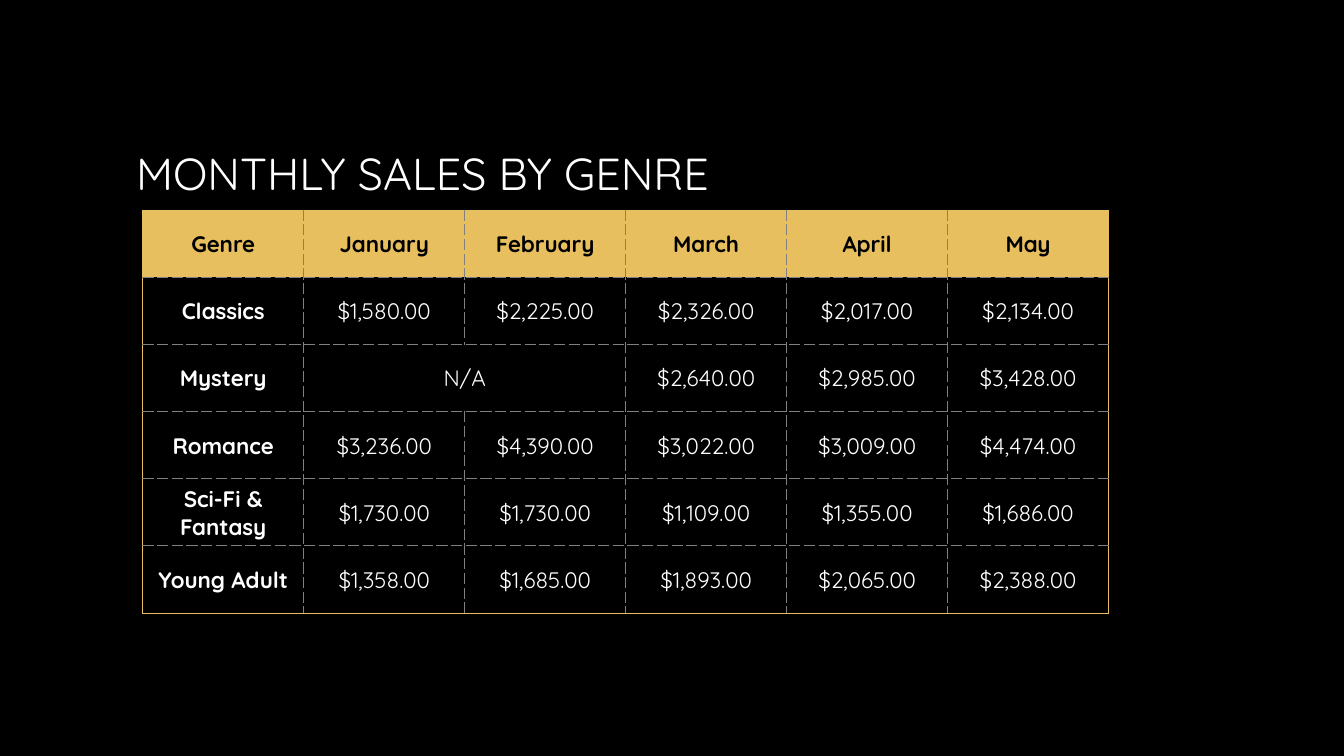
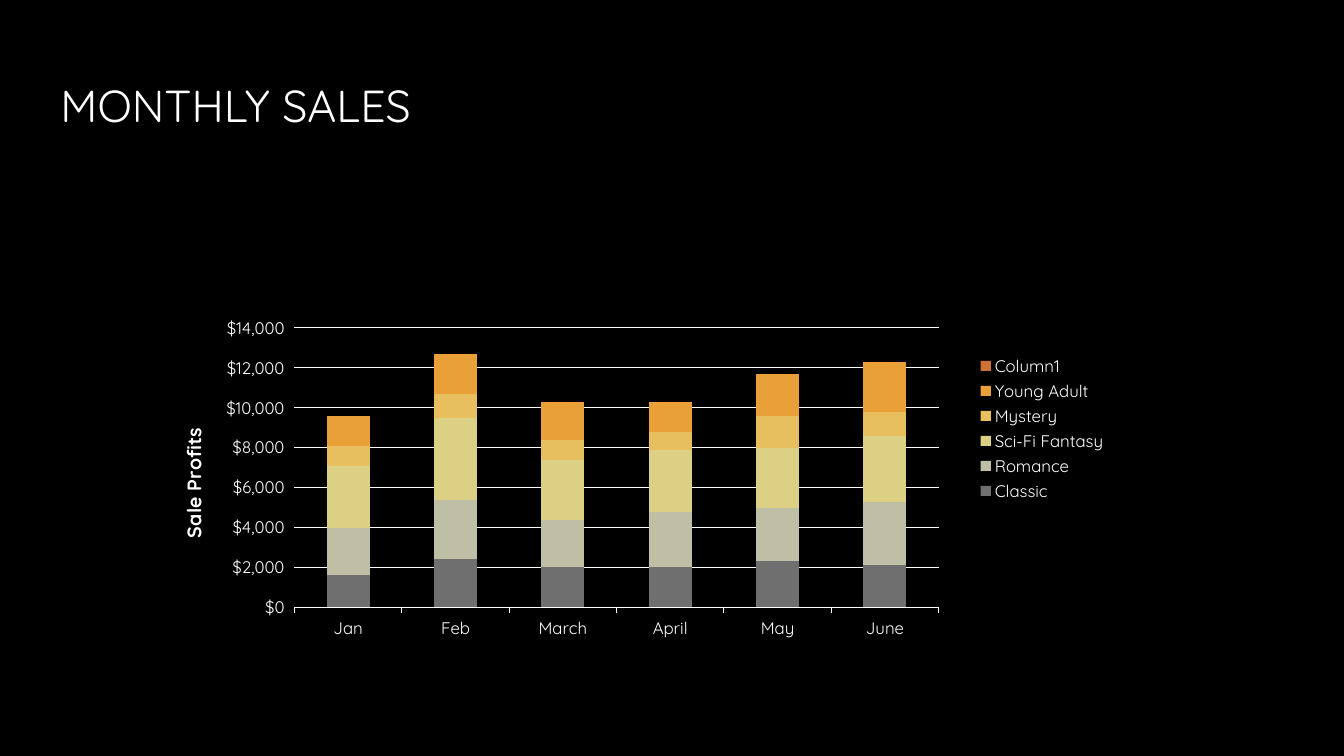
from lxml.etree import SubElement
from pptx import Presentation
from pptx.chart.data import CategoryChartData
from pptx.dml.color import RGBColor
from pptx.enum.chart import XL_CHART_TYPE, XL_LEGEND_POSITION, XL_TICK_MARK
from pptx.enum.text import MSO_ANCHOR, PP_ALIGN
from pptx.oxml.ns import qn
from pptx.util import Pt

BLACK = RGBColor(0x00, 0x00, 0x00)
WHITE = RGBColor(0xFF, 0xFF, 0xFF)
SILVER = RGBColor(0xA6, 0xA6, 0xA6)
GRAY = RGBColor(0x80, 0x80, 0x80)
GOLD = RGBColor(0xE7, 0xBF, 0x5F)
SERIES_COLORS = [
    RGBColor(0x6F, 0x6F, 0x6F),
    RGBColor(0xBF, 0xBF, 0xA5),
    RGBColor(0xDC, 0xD0, 0x84),
    GOLD,
    RGBColor(0xE9, 0xA0, 0x39),
    RGBColor(0xCF, 0x71, 0x33),
]

FONT = "Quicksand"
TITLE_FONT = {"name": FONT, "size": Pt(32), "bold": False}
CELL_FONT = {"name": FONT, "size": Pt(16)}
CHART_FONT = {"name": FONT, "size": Pt(12), "bold": False}
AXIS_TITLE_FONT = {"name": FONT, "size": Pt(14), "bold": True}
CELL_FORMAT = {
    "vertical_anchor": MSO_ANCHOR.MIDDLE,
    "margin_left": Pt(0.72),
    "margin_right": Pt(0.72),
    "margin_top": Pt(0.72),
    "margin_bottom": Pt(0),
}

GENRE_ROWS = [
    ["Genre", "January", "February", "March", "April", "May"],
    ["Classics", "$1,580.00", "$2,225.00", "$2,326.00", "$2,017.00", "$2,134.00"],
    ["Mystery", "N/A", "", "$2,640.00", "$2,985.00", "$3,428.00"],
    ["Romance", "$3,236.00", "$4,390.00", "$3,022.00", "$3,009.00", "$4,474.00"],
    ["Sci-Fi & Fantasy", "$1,730.00", "$1,730.00", "$1,109.00", "$1,355.00", "$1,686.00"],
    ["Young Adult", "$1,358.00", "$1,685.00", "$1,893.00", "$2,065.00", "$2,388.00"],
]
MONTHS = ["Jan", "Feb", "March", "April", "May", "June"]
PROFITS = {
    "Classic": [1600, 2400, 2000, 2000, 2300, 2100],
    "Romance": [2400, 3000, 2400, 2800, 2700, 3200],
    "Sci-Fi Fantasy": [3100, 4100, 3000, 3100, 3000, 3300],
    "Mystery": [1000, 1200, 1000, 900, 1600, 1200],
    "Young Adult": [1500, 2000, 1900, 1500, 2100, 2500],
    "Column1": [None] * len(MONTHS),
}


def set_values(target, values):
    for name, value in values.items():
        setattr(target, name, value)


def set_font(font, values, color):
    set_values(font, values)
    font.color.rgb = color


def set_line(line, color):
    line.color.rgb = color
    line.width = Pt(0.75)


def set_layout(parent, position, values):
    for old_layout in parent.findall(qn("c:layout")):
        parent.remove(old_layout)
    layout = SubElement(parent, qn("c:layout"))
    parent.insert(position, layout)
    manual = SubElement(layout, qn("c:manualLayout"))
    for name, value in values.items():
        SubElement(manual, qn(f"c:{name}")).set("val", str(value))


class SalesDeck:
    def __init__(self):
        self.presentation = Presentation()
        set_values(self.presentation, {"slide_width": Pt(960), "slide_height": Pt(540)})
        background = self.presentation.slide_master.background.fill
        background.solid()
        background.fore_color.rgb = BLACK
        self.slide = None

    def add_slide(self, title, left, top):
        layout = self.presentation.slide_layouts.get_by_name("Title Only")
        self.slide = self.presentation.slides.add_slide(layout)
        shape = self.slide.shapes.title
        set_values(shape, {"left": Pt(left), "top": Pt(top),
                           "width": Pt(780), "height": Pt(150)})
        shape.text_frame.vertical_anchor = MSO_ANCHOR.MIDDLE
        paragraph = shape.text_frame.paragraphs[0]
        paragraph.alignment = PP_ALIGN.LEFT
        run = paragraph.add_run()
        run.text = title
        set_values(run.font, TITLE_FONT)
        run.font.fill.gradient()
        run.font.fill.gradient_angle = 267
        for stop, color in zip(run.font.fill.gradient_stops, (WHITE, SILVER)):
            stop.color.rgb = color

    def add_border(self, cell, side, outer):
        line = SubElement(cell._tc.get_or_add_tcPr(), qn(f"a:ln{side}"), w=str(Pt(0.75)))
        fill = SubElement(line, qn("a:solidFill"))
        SubElement(fill, qn("a:srgbClr"), val=str(GOLD if outer else GRAY))
        SubElement(line, qn("a:prstDash"), val="solid" if outer else "sysDash")

    def format_cell(self, cell, text, header, bold):
        set_values(cell, CELL_FORMAT)
        if header:
            cell.fill.solid()
            cell.fill.fore_color.rgb = GOLD
        else:
            cell.fill.background()
        if text:
            paragraph = cell.text_frame.paragraphs[0]
            paragraph.alignment = PP_ALIGN.CENTER
            run = paragraph.add_run()
            run.text = text
            set_font(run.font, {**CELL_FONT, "bold": bold}, BLACK if header else WHITE)

    def add_table(self, rows, left, top, column_width, row_height):
        row_count, column_count = len(rows), len(rows[0])
        table = self.slide.shapes.add_table(
            row_count, column_count, Pt(left), Pt(top),
            Pt(column_width * column_count), Pt(row_height * row_count)).table
        table.horz_banding = False
        for row, texts in enumerate(rows):
            for column, text in enumerate(texts):
                cell = table.cell(row, column)
                outer_sides = {
                    "L": column == 0,
                    "R": column == column_count - 1,
                    "T": row == 0,
                    "B": row == row_count - 1,
                }
                for side, outer in outer_sides.items():
                    self.add_border(cell, side, outer)
                self.format_cell(cell, text, row == 0, row == 0 or column == 0)
        return table

    def add_stacked_chart(self, categories, series, left, top, width, height):
        data = CategoryChartData()
        data.categories = categories
        for name, values in series.items():
            data.add_series(name, values)
        chart = self.slide.shapes.add_chart(
            XL_CHART_TYPE.COLUMN_STACKED, Pt(left), Pt(top),
            Pt(width), Pt(height), data).chart
        set_values(chart, {"has_title": False, "has_legend": True})
        set_font(chart.font, CHART_FONT, WHITE)
        set_values(chart.legend, {"position": XL_LEGEND_POSITION.RIGHT,
                                  "include_in_layout": False})
        set_font(chart.legend.font, CHART_FONT, WHITE)
        plot = chart.plots[0]
        set_values(plot, {"gap_width": 150, "overlap": 100, "vary_by_categories": False})
        for bars, color in zip(plot.series, SERIES_COLORS):
            bars.format.fill.solid()
            bars.format.fill.fore_color.rgb = color
        plot_area = chart._chartSpace.find(f".//{qn('c:plotArea')}")
        set_layout(plot_area, 0, {"layoutTarget": "inner", "xMode": "edge", "yMode": "edge",
                                  "x": 0.17, "y": 0.27, "w": 0.65, "h": 0.64})
        return chart

    def format_axes(self, chart, title, maximum, unit):
        for axis in (chart.category_axis, chart.value_axis):
            axis.major_tick_mark = XL_TICK_MARK.OUTSIDE
            set_font(axis.tick_labels.font, CHART_FONT, WHITE)
        set_line(chart.category_axis.format.line, WHITE)
        value_axis = chart.value_axis
        set_values(value_axis, {"minimum_scale": 0, "maximum_scale": maximum,
                                "major_unit": unit, "has_major_gridlines": True})
        set_values(value_axis.tick_labels, {"number_format": '"$"#,##0',
                                            "number_format_is_linked": False})
        value_axis.format.line.fill.background()
        set_line(value_axis.major_gridlines.format.line, WHITE)
        run = value_axis.axis_title.text_frame.paragraphs[0].add_run()
        run.text = title
        set_font(run.font, AXIS_TITLE_FONT, WHITE)
        title_element = value_axis.axis_title._element
        title_element.find(f".//{qn('a:bodyPr')}").set("rot", "-5400000")
        set_layout(title_element, 1, {"xMode": "edge", "yMode": "edge", "x": 0.05, "y": 0.49})


def main():
    deck = SalesDeck()

    deck.add_slide("MONTHLY SALES BY GENRE", 90, 48)
    table = deck.add_table(GENRE_ROWS, 102, 150, 115, 48)
    table.cell(2, 1).merge(table.cell(2, 2))

    deck.add_slide("MONTHLY SALES", 36, 0)
    chart = deck.add_stacked_chart(MONTHS, PROFITS, 90, 150, 708, 312)
    deck.format_axes(chart, "Sale Profits", 14000, 2000)

    deck.presentation.save("out.pptx")


if __name__ == "__main__":
    main()
